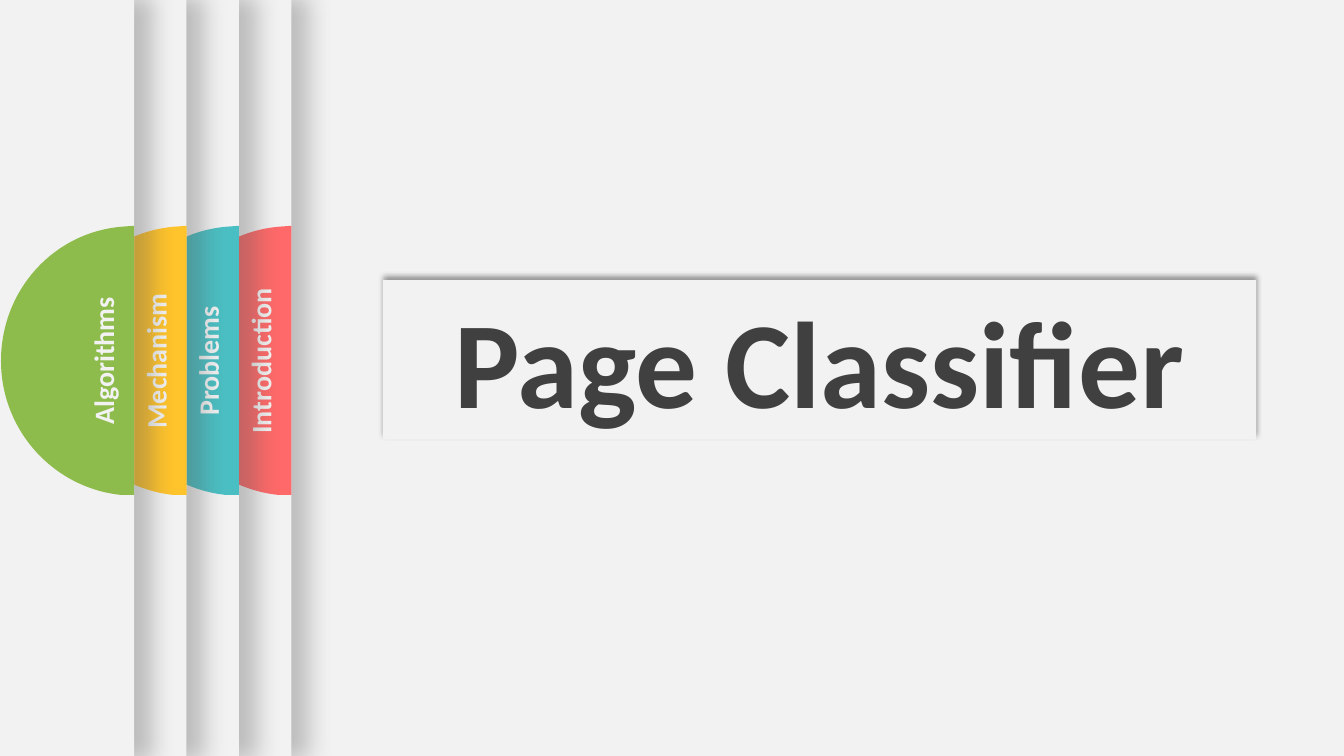
from lxml.etree import SubElement
from pptx import Presentation
from pptx.dml.color import RGBColor
from pptx.enum.shapes import MSO_SHAPE as SHAPE
from pptx.enum.text import MSO_AUTO_SIZE as FIT, MSO_ANCHOR as ANCHOR, PP_ALIGN as ALIGN
from pptx.oxml.ns import qn
from pptx.util import Inches, Pt

PAPER = "F2F2F2"
WIDE, HIGH = 13.33, 7.5


def paint(shape, color, shade=None):
    """Fill without outline; shade is (color, opacity %, blur pt, distance pt, angle, scale %)."""
    shape.shadow.inherit = False
    shape.fill.solid()
    shape.fill.fore_color.rgb = RGBColor.from_string(color)
    shape.line.fill.background()
    if shade:
        tint, alpha, blur, dist, angle, scale = shade
        effects = shape._element.spPr.find(qn("a:effectLst"))
        outer = SubElement(effects, qn("a:outerShdw"), blurRad=str(Pt(blur)),
                           dist=str(Pt(dist)), dir=str(angle * 60000),
                           sx=str(scale * 1000), sy=str(scale * 1000),
                           algn="l", rotWithShape="0")
        hue = SubElement(outer, qn("a:srgbClr"), val=tint)
        SubElement(hue, qn("a:alpha"), val=str(alpha * 1000))


def write(shape, text, size, color):
    frame = shape.text_frame
    frame.text = text
    frame.word_wrap = True
    frame.auto_size = FIT.SHAPE_TO_FIT_TEXT
    line = frame.paragraphs[0]
    line.alignment = ALIGN.CENTER
    font = line.runs[0].font
    font.name, font.size, font.bold = "Calibri", Pt(size), True
    font.color.rgb = RGBColor.from_string(color)


deck = Presentation()
deck.slide_width, deck.slide_height = Inches(WIDE), Inches(HIGH)
slide = deck.slides.add_slide(deck.slide_layouts[5])
back = slide.background.fill
back.solid()
back.fore_color.rgb = RGBColor.from_string(PAPER)

# Sheets slide out from the left edge, each with a half-round tab at its right side
tabs = [("Introduction", "FF6969"), ("Problems", "4ABFC3"),
        ("Mechanism", "FFC32B"), ("Algorithms", "8EBC4C")]
STEP, TOP = 0.52, 2.24

# Tab outline and curve handles, measured from the tab's top left corner
corners = [(1.32, 0), (1.32, 2.67), (1.19, 2.67), (0, 1.34), (1.19, 0.01)]
bends = [[(0.52, 2.6), (0, 2.03)], [(0, 0.64), (0.52, 0.07)]]

for i, (name, color) in enumerate(tabs):
    edge = 2.89 - i * STEP
    left = edge - 1.32
    group = slide.shapes.add_group_shape()

    sheet = group.shapes.add_shape(SHAPE.RECTANGLE, Inches(edge - WIDE), 0,
                                   Inches(WIDE), Inches(HIGH))
    paint(sheet, PAPER, ("595959", 35, 17, 3, 0, 101))

    spots = [(Inches(left + x), Inches(TOP + y)) for x, y in corners]
    outline = group.shapes.build_freeform(*spots[0])
    outline.add_line_segments(spots[1:], close=True)
    tab = outline.convert_to_shape()
    paint(tab, color)
    sides = list(tab._element.iter(qn("a:lnTo")))
    for side, bend in zip(sides[2:4], bends):
        side.tag = qn("a:cubicBezTo")
        end = side[0]
        for x, y in bend:
            handle = SubElement(side, qn("a:pt"), x=str(Inches(x)), y=str(Inches(y)))
            end.addprevious(handle)

    label = group.shapes.add_textbox(Inches(edge - 1.25), Inches(3.36),
                                     Inches(1.89), Inches(0.44))
    label.rotation = 270
    write(label, name, 20, PAPER)

title = slide.shapes.title
title.left, title.top = Inches(3.8), Inches(2.78)
title.width, title.height = Inches(8.66), Inches(1.58)
paint(title, PAPER, ("000000", 40, 4, 3, 270, 100))
write(title, "Page Classifier", 88, "404040")
title.text_frame.vertical_anchor = ANCHOR.TOP

deck.save("out.pptx")
